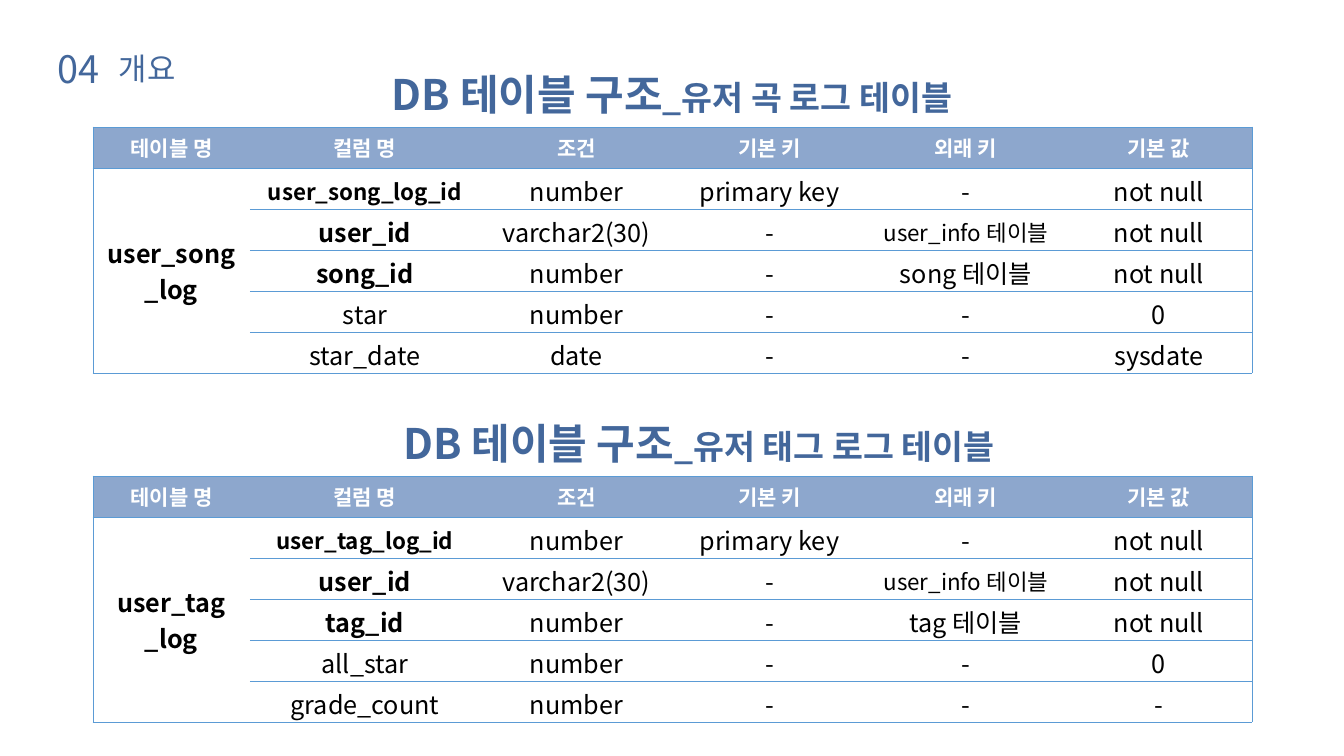
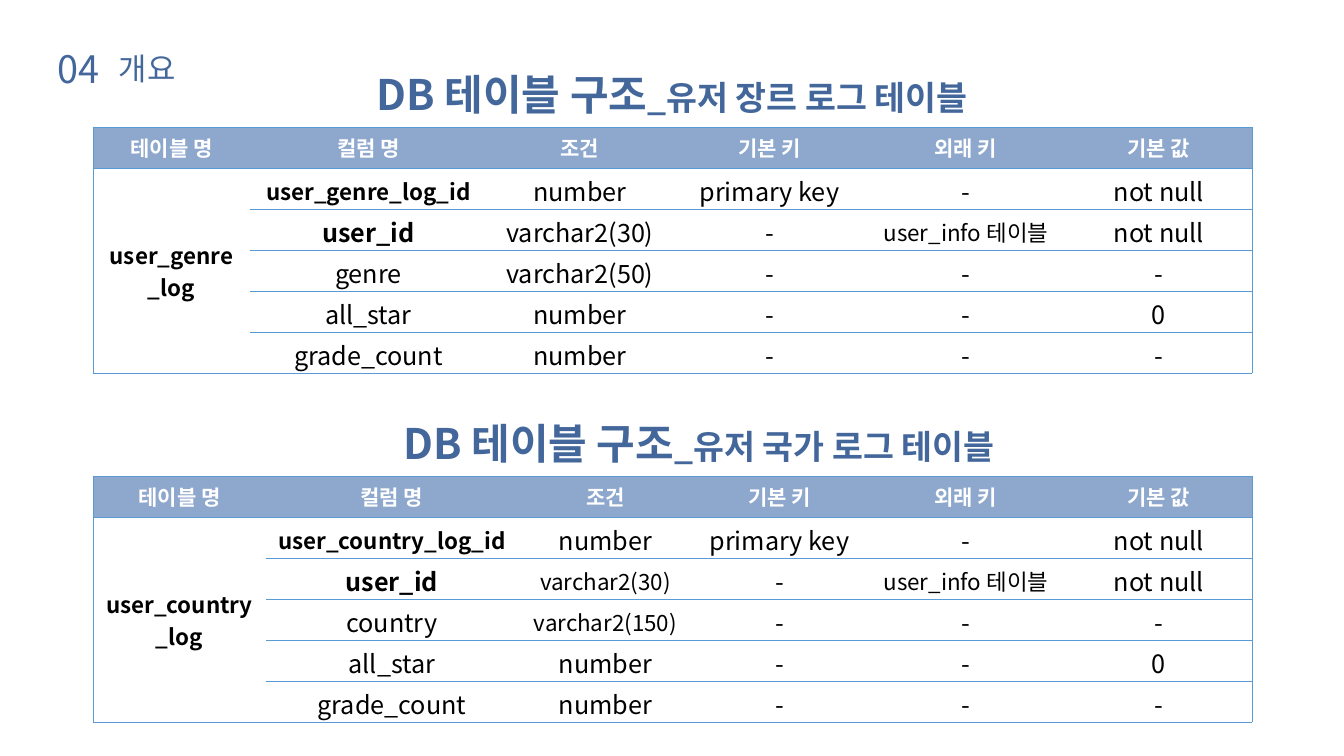
"""Build two slides that describe the user log tables of a database."""
from pptx import Presentation
from pptx.dml.color import RGBColor
from pptx.enum.text import MSO_ANCHOR as ANCHOR, MSO_AUTO_SIZE as AUTO_SIZE, PP_ALIGN as ALIGN
from pptx.oxml import parse_xml
from pptx.oxml.ns import nsdecls
from pptx.util import Emu, Pt

SCALE = 914400 / 100.8
FONT = "Noto Sans CJK KR"
TITLE_BLUE, OUTLINE_BLUE = "43679B", "2B538E"
HEADER_FILL, RULE_BLUE = "8DA7CD", "5B9BD5"
WHITE, BLACK = "FFFFFF", "000000"
HEADINGS = ("테이블 명", "컬럼 명", "조건", "기본 키", "외래 키", "기본 값")
TABLE_LEFT, TABLE_WIDTH, ROW_HEIGHT = 93, 1159, 41
PLACES = (
    {"title": (337, 64, 670, 61), "table_top": 127},
    {"title": (337, 413, 724, 61), "table_top": 476},
)
USER_ID = ("user_id", "varchar2(30)", "-", "user_info 테이블", "not null")
ALL_STAR = ("all_star", "number", "-", "-", "0")
GRADE_COUNT = ("grade_count", "number", "-", "-", "-")
KEY_RULES = ("number", "primary key", "-", "not null")

PAGES = (
    (
        {
            "subject": "유저 곡 로그 테이블", "name": "user_song", "name_size": 18,
            "widths": (157, 230, 193, 193, 200, 186), "small": (),
            "rows": (
                USER_ID,
                ("song_id", "number", "-", "song 테이블", "not null"),
                ("star", "number", "-", "-", "0"),
                ("star_date", "date", "-", "-", "sysdate"),
            ),
        },
        {
            "subject": "유저 태그 로그 테이블", "name": "user_tag", "name_size": 18,
            "widths": (157, 230, 193, 193, 200, 186), "small": (),
            "rows": (
                USER_ID,
                ("tag_id", "number", "-", "tag 테이블", "not null"),
                ALL_STAR,
                GRADE_COUNT,
            ),
        },
    ),
    (
        {
            "subject": "유저 장르 로그 테이블", "name": "user_genre", "name_size": 16,
            "widths": (157, 237, 186, 193, 200, 186), "small": (),
            "rows": (
                USER_ID,
                ("genre", "varchar2(50)", "-", "-", "-"),
                ALL_STAR,
                GRADE_COUNT,
            ),
        },
        {
            "subject": "유저 국가 로그 테이블", "name": "user_country", "name_size": 16,
            "widths": (173, 252, 175, 173, 200, 186),
            "small": ("varchar2(30)", "varchar2(150)"),
            "rows": (
                USER_ID,
                ("country", "varchar2(150)", "-", "-", "-"),
                ALL_STAR,
                GRADE_COUNT,
            ),
        },
    ),
)


def px(length):
    return Emu(round(length * SCALE))


def add_run(paragraph, text, size, color, bold=False, outlined=False):
    run = paragraph.add_run()
    run.text = text
    for name, value in {"name": FONT, "size": Pt(size), "bold": bold}.items():
        setattr(run.font, name, value)
    run.font.color.rgb = RGBColor.from_string(color)
    properties = run.font._element
    properties.append(parse_xml(f'<a:ea {nsdecls("a")} typeface="{FONT}"/>'))
    if outlined:
        properties.insert(0, parse_xml(
            f'<a:ln {nsdecls("a")} w="9525"><a:solidFill><a:srgbClr val="{OUTLINE_BLUE}">'
            '<a:alpha val="20000"/></a:srgbClr></a:solidFill></a:ln>'))


deck = Presentation()
deck.slide_width, deck.slide_height = px(1344), px(756)

for page in PAGES:
    slide = deck.slides.add_slide(deck.slide_layouts[6])
    labels = [
        ((48, 41, 70, 56), ALIGN.LEFT, False, (("04", 27, False),)),
        ((109, 45, 79, 47), ALIGN.LEFT, True, (("개요", 22, False),)),
    ]
    for place, entry in zip(PLACES, page):
        heading = (("DB 테이블 구조", 30, True), (f"_{entry['subject']}", 24, True))
        labels.append((place["title"], ALIGN.CENTER, True, heading))
    for box, alignment, wraps, pieces in labels:
        frame = slide.shapes.add_textbox(*map(px, box)).text_frame
        frame.word_wrap = wraps
        frame.auto_size = AUTO_SIZE.SHAPE_TO_FIT_TEXT
        frame.paragraphs[0].alignment = alignment
        for text, size, bold in pieces:
            add_run(frame.paragraphs[0], text, size, TITLE_BLUE, bold, outlined=True)

    for place, entry in zip(PLACES, page):
        key_row = (f"{entry['name']}_log_id", *KEY_RULES)
        body = [("", *row) for row in (key_row, *entry["rows"])]
        body[0] = (f"{entry['name']}\n_log", *key_row)
        grid = [HEADINGS, *body]
        last_row, last_column = len(grid) - 1, len(HEADINGS) - 1
        table = slide.shapes.add_table(
            len(grid), len(HEADINGS), px(TABLE_LEFT), px(place["table_top"]),
            px(TABLE_WIDTH), px(ROW_HEIGHT * len(grid))).table
        table.first_row = table.horz_banding = False
        for column, width in zip(table.columns, entry["widths"]):
            column.width = px(width)
        for row in table.rows:
            row.height = px(ROW_HEIGHT)
        table.cell(1, 0).merge(table.cell(last_row, 0))

        for r, texts in enumerate(grid):
            for c, text in enumerate(texts):
                cell = table.cell(r, c)
                layout = {
                    "vertical_anchor": ANCHOR.MIDDLE,
                    "margin_top": px(4),
                    "margin_bottom": px(0 if r and c else 4),
                }
                for name, value in layout.items():
                    setattr(cell, name, value)

                edges = {"L": c == 0, "R": c == last_column, "T": True, "B": True}
                for side, ruled in edges.items():
                    paint = (f'<a:solidFill><a:srgbClr val="{RULE_BLUE}"/></a:solidFill>'
                             if ruled else "<a:noFill/>")
                    cell._tc.get_or_add_tcPr().append(parse_xml(
                        f'<a:ln{side} {nsdecls("a")} w="6350">{paint}</a:ln{side}>'))
                if r == 0:
                    cell.fill.solid()
                    cell.fill.fore_color.rgb = RGBColor.from_string(HEADER_FILL)
                else:
                    cell.fill.background()

                if r == 0:
                    size, color, bold = 15, WHITE, True
                elif c == 0:
                    size, color, bold = entry["name_size"], BLACK, True
                else:
                    small = text in ("user_info 테이블", key_row[0], *entry["small"])
                    size, color, bold = 16 if small else 18, BLACK, text.endswith("_id")
                for i, line in enumerate(text.splitlines()):
                    frame = cell.text_frame
                    paragraph = frame.add_paragraph() if i else frame.paragraphs[0]
                    paragraph.alignment = ALIGN.CENTER
                    add_run(paragraph, line, size, color, bold)

deck.save("out.pptx")
